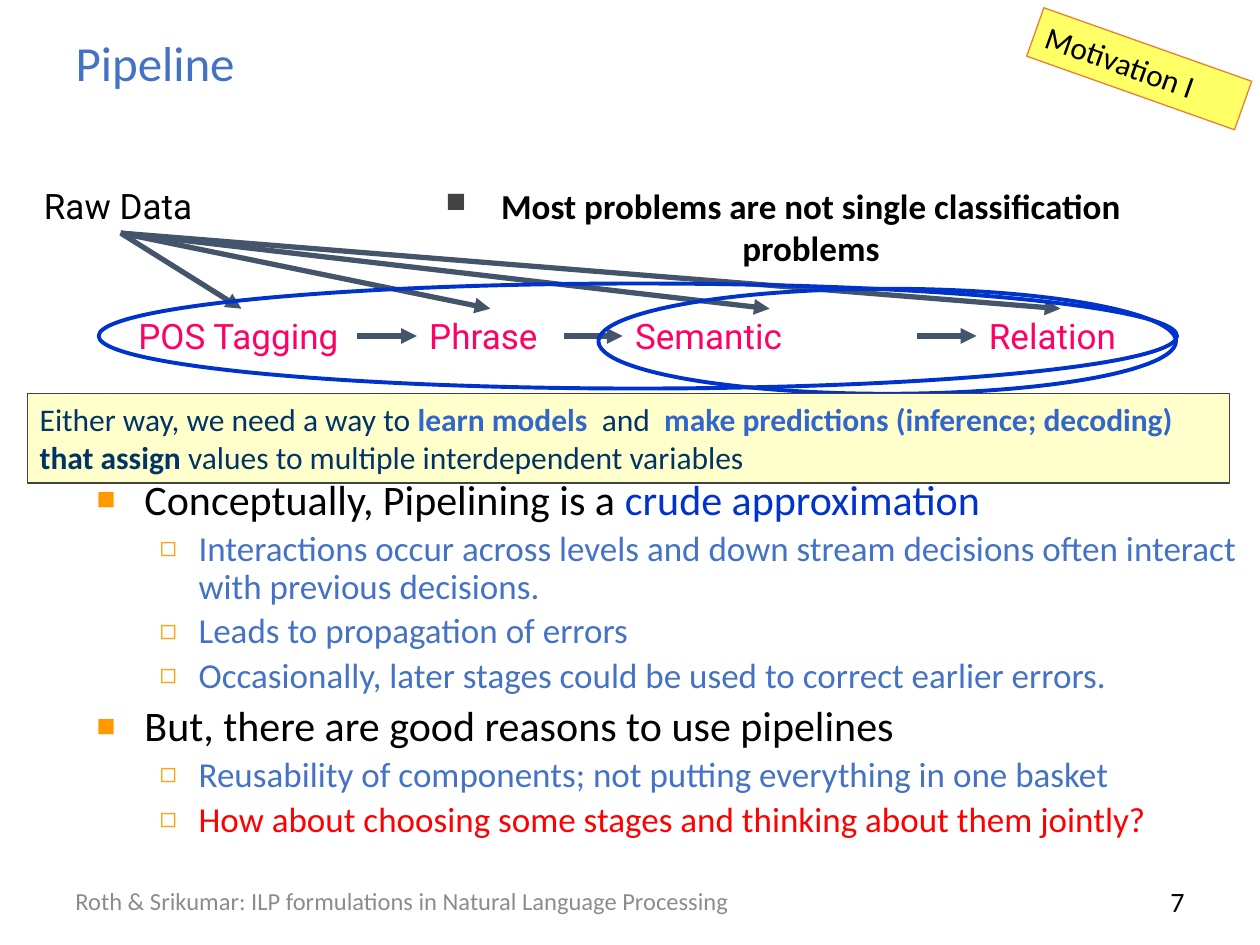
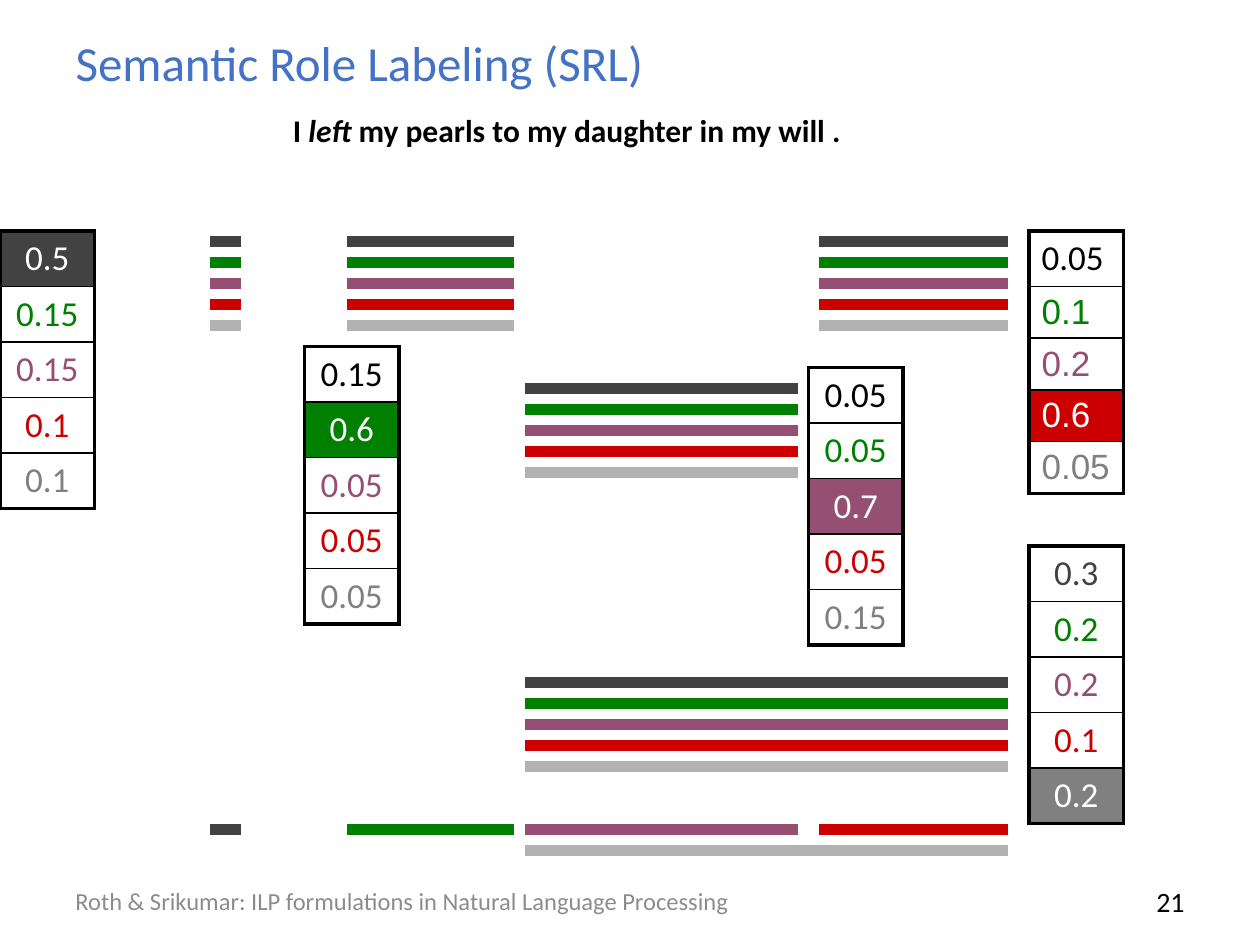
"""Build two slides on pipelines and semantic role labeling, laid out on a 120 by 90 grid."""
from dataclasses import dataclass

from lxml import etree
from pptx import Presentation
from pptx import util as u
from pptx.dml.color import RGBColor
from pptx.enum import shapes, text
from pptx.oxml.ns import qn


@dataclass(frozen=True)
class Theme:
    font: str = "Calibri"
    label_font: str = "Roboto"
    alt_font: str = "Arial"
    black: str = "000000"
    white: str = "FFFFFF"
    blue: str = "4472C4"
    deep_blue: str = "0033CC"
    mid_blue: str = "3366CC"
    navy: str = "003366"
    slate: str = "44546A"
    pink: str = "FF0066"
    red: str = "FF0000"
    orange: str = "ED7D31"
    yellow: str = "FFFF66"
    cream: str = "FFFFCC"
    footer: str = "8C8C8C"
    charcoal: str = "424242"
    bullet: str = "FF9900"
    sub_bullet: str = "FBA313"
    roles: tuple = ("424242", "008000", "954F72", "CC0000", "B2B2B2")
    last_role_text: str = "808080"
    title_size: int = 28
    body_size: int = 24
    sub_size: int = 20
    note_size: int = 18
    number_size: int = 16
    footer_size: int = 14


T = Theme()
LEFT, CENTER, RIGHT = (text.PP_ALIGN.LEFT, text.PP_ALIGN.CENTER, text.PP_ALIGN.RIGHT)


def write(tf, paragraphs, anchor=text.MSO_ANCHOR.TOP):
    """Fill a frame with (format, bullet, runs), each run being (text, size, colour, extras)."""
    for key, value in {"word_wrap": True, "auto_size": text.MSO_AUTO_SIZE.NONE,
                       "vertical_anchor": anchor}.items():
        setattr(tf, key, value)
    for i, (fmt, bullet, runs) in enumerate(paragraphs):
        p = tf.add_paragraph() if i else tf.paragraphs[0]
        for key, value in {"alignment": LEFT, **fmt}.items():
            setattr(p, key, value)
        for words, size, colour, extras in runs:
            r = p.add_run()
            r.text = words
            for key, value in {"name": T.font, "size": u.Pt(size), **extras}.items():
                setattr(r.font, key, value)
            r.font.color.rgb = RGBColor.from_string(colour)
        if bullet:
            char, colour, share, indent, hang = bullet
            pPr = p._p.get_or_add_pPr()
            pPr.set("marL", str(u.Inches(indent)))
            pPr.set("indent", str(-u.Inches(hang)))
            if char:
                clr = etree.SubElement(pPr, qn("a:buClr"))
                etree.SubElement(clr, qn("a:srgbClr"), val=colour)
                etree.SubElement(pPr, qn("a:buSzPct"), val=str(share * 1000))
                etree.SubElement(pPr, qn("a:buChar"), char=char)
            else:
                etree.SubElement(pPr, qn("a:buNone"))


def line(s, ends, colour, width, arrow=False):
    """Draw a straight line between two grid points."""
    c = s.shapes.add_connector(shapes.MSO_CONNECTOR.STRAIGHT, *(int(v * G) for v in ends))
    c.line.color.rgb = RGBColor.from_string(colour)
    c.line.width = u.Pt(width)
    etree.SubElement(c._element.spPr, qn("a:effectLst"))
    if arrow:
        etree.SubElement(c.line._get_or_add_ln(), qn("a:tailEnd"), type="triangle")
    return c


prs = Presentation()
prs.slide_width, prs.slide_height = u.Inches(10), u.Inches(7.5)
G = prs.slide_width // 120
layout = prs.slide_layouts[1]

slides = []
for title, number, body_at in [("Pipeline", "7", (8, 45, 112, 34)),
                               ("Semantic Role Labeling (SRL)", "21", (0, 10, 108, 65))]:
    s = prs.slides.add_slide(layout)
    for sp, at in zip(s.placeholders, [(6, 1.8, 108, 8.2), body_at]):
        sp.left, sp.top, sp.width, sp.height = (int(v * G) for v in at)
    write(s.shapes.title.text_frame, [({}, None, [(title, T.title_size, T.blue, {})])],
          text.MSO_ANCHOR.MIDDLE)
    for at, words, size, colour, align in [
            ((6, 83.4, 73, 4.8), "Roth & Srikumar: ILP formulations in Natural Language Processing",
             T.footer_size, T.footer, LEFT),
            ((86, 83.4, 28, 4.8), number, T.number_size, T.black, RIGHT)]:
        sp = s.shapes.add_textbox(*(int(v * G) for v in at))
        write(sp.text_frame, [({"alignment": align}, None, [(words, size, colour, {})])],
              text.MSO_ANCHOR.MIDDLE)
    slides.append(s)
pipeline, srl = slides

s = pipeline
main = ({"line_spacing": 0.9, "space_before": u.Pt(5)}, ("■", T.bullet, 75, 0.38, 0.38))
sub = ({"line_spacing": 0.9, "space_before": u.Pt(4)}, ("◻", T.sub_bullet, 80, 0.81, 0.31))
points = [
    (main, [("Conceptually, Pipelining is a ", T.black), ("crude approximation", T.deep_blue)]),
    (sub, [("Interactions occur across levels and down stream decisions often interact "
            "with previous decisions.", T.blue)]),
    (sub, [("Leads to propagation of errors", T.blue)]),
    (sub, [("Occasionally, later stages could be used to correct earlier errors.", T.blue)]),
    (main, [("But, there are good reasons to use pipelines", T.black)]),
    (sub, [("Reusability of components; not putting everything in one basket", T.blue)]),
    (sub, [("How about choosing some stages and thinking about them jointly?", T.red)]),
]
paragraphs = []
for level, runs in points:
    size = T.body_size if level is main else T.sub_size
    paragraphs.append((*level, [(words, size, colour, {}) for words, colour in runs]))
write(s.placeholders[1].text_frame, paragraphs)
for p, (level, _) in zip(s.placeholders[1].text_frame.paragraphs, points):
    p.level = int(level is sub)

stages = []
for words, left, top, width, colour in [
        ("Raw Data", 3, 17, 17, T.black), ("POS Tagging", 12, 29.4, 22, T.pink),
        ("Phrase", 39.7, 29.4, 14, T.pink), ("Semantic", 59.3, 29.4, 28, T.pink),
        ("Relation", 93, 29.4, 16, T.pink)]:
    sp = s.shapes.add_textbox(*(int(v * G) for v in (left, top, width, 5.2)))
    write(sp.text_frame, [({}, None, [(words, T.sub_size, colour, {"name": T.label_font})])])
    stages.append(sp)
raw, *steps = stages

joins = [(a, 3, b, 1) for a, b in zip(steps, steps[1:])] + [(raw, 2, b, 0) for b in steps]
for start, start_side, end, end_side in joins:
    c = line(s, (0, 0, 0, 0), T.slate, 3, arrow=True)
    c.begin_connect(start, start_side)
    c.end_connect(end, end_side)

sp = s.shapes.add_textbox(*(int(v * G) for v in (35, 17, 79.2, 5.2)))
write(sp.text_frame, [({"alignment": CENTER}, ("■", T.charcoal, 80, 0.44, 0.44),
                       [("Most problems are not single classification problems",
                         T.sub_size, T.black, {"bold": True})])])

badge = [({}, None, [("Motivation I", T.note_size, T.black, {})])]
bold = {"bold": True}
takeaway = [({}, None, [(words, T.note_size, colour, extras) for words, colour, extras in runs])
            for runs in (
                [("Either way, we need a way to ", T.navy, {}),
                 ("learn models  ", T.mid_blue, bold), ("and", T.navy, {}),
                 ("  make predictions (inference; decoding)", T.mid_blue, bold)],
                [("that assign ", T.navy, bold),
                 ("values to multiple interdependent variables", T.navy, {})])]
RECT, OVAL = shapes.MSO_SHAPE.RECTANGLE, shapes.MSO_SHAPE.OVAL
for kind, at, turn, fill, edge, width, content in [
        (RECT, (98, 4.1, 21, 4.9), 19.5, T.yellow, T.orange, 0.75, badge),
        (OVAL, (57, 27.5, 55, 10), 0, None, T.deep_blue, 2.25, None),
        (OVAL, (9.4, 27, 102.7, 10), 0, None, T.deep_blue, 2.25, None),
        (RECT, (2.6, 37.5, 114.5, 8.5), 0, T.cream, T.charcoal, 0.75, takeaway)]:
    sp = s.shapes.add_shape(kind, *(int(v * G) for v in at))
    sp.shadow.inherit = False
    sp.rotation = turn
    sp.line.color.rgb = RGBColor.from_string(edge)
    sp.line.width = u.Pt(width)
    if fill:
        sp.fill.solid()
        sp.fill.fore_color.rgb = RGBColor.from_string(fill)
    else:
        sp.fill.background()
    if content:
        write(sp.text_frame, content)

s = srl
sentence = [("I ", {}), ("left", {"italic": True}), (" my pearls to my daughter in my will .", {})]
write(s.placeholders[1].text_frame,
      [({"alignment": CENTER, "space_before": u.Pt(4)}, ("", None, 0, 0, 0),
        [(words, T.note_size, T.black, {"bold": True, **extras}) for words, extras in sentence])])

for left, right, top in [(20, 23, 23), (33, 49, 23), (50, 76, 37), (78, 96, 23), (50, 96, 65)]:
    for i, colour in enumerate(T.roles):
        line(s, (left, top + 2 * i, right, top + 2 * i), colour, 6)
best = [(20, 23, 79), (33, 49, 79), (50, 76, 79), (78, 96, 79), (50, 96, 81)]
for (left, right, y), colour in zip(best, T.roles):
    line(s, (left, y, right, y), colour, 6)

for left, top, chosen, first, scores in [
        (0, 22, 0, T.white, "0.5 0.15 0.15 0.1 0.1"),
        (29, 33, 1, T.black, "0.15 0.6 0.05 0.05 0.05"),
        (98, 22, 3, T.black, "0.05 0.1 0.2 0.6 0.05"),
        (77, 35, 2, T.black, "0.05 0.05 0.7 0.05 0.15"),
        (98, 52, 4, T.charcoal, "0.3 0.2 0.2 0.1 0.2")]:
    plain = chosen == 3
    tbl = s.shapes.add_table(5, 1, *(int(v * G) for v in (left, top, 9, 26))).table
    tbl.first_row = tbl.horz_banding = False
    inks = (first, *T.roles[1:4], T.last_role_text)
    for i, (score, ink) in enumerate(zip(scores.split(), inks)):
        arial = plain and i > 0
        tbl.rows[i].height = u.Inches(0.41 if arial else 0.44)
        cell = tbl.cell(i, 0)
        if i == chosen:
            cell.fill.solid()
            cell.fill.fore_color.rgb = RGBColor.from_string(T.charcoal if i == 0 else ink)
            ink = T.white
        else:
            cell.fill.background()
        p = cell.text_frame.paragraphs[0]
        p.alignment = LEFT if plain else CENTER
        r = p.add_run()
        r.text = score
        for key, value in {"name": T.alt_font if arial else T.font,
                           "size": u.Pt(T.sub_size)}.items():
            setattr(r.font, key, value)
        r.font.color.rgb = RGBColor.from_string(ink)
        widths = {"a:lnL": 2.25, "a:lnR": 2.25, "a:lnT": 1 if i else 2.25,
                  "a:lnB": 2.25 if i == 4 else 1}
        for n, (side, width) in enumerate(widths.items()):
            ln = etree.Element(qn(side), w=str(u.Pt(width)))
            fill = etree.SubElement(ln, qn("a:solidFill"))
            etree.SubElement(fill, qn("a:srgbClr"), val=T.black)
            cell._tc.get_or_add_tcPr().insert(n, ln)

prs.save("out.pptx")
